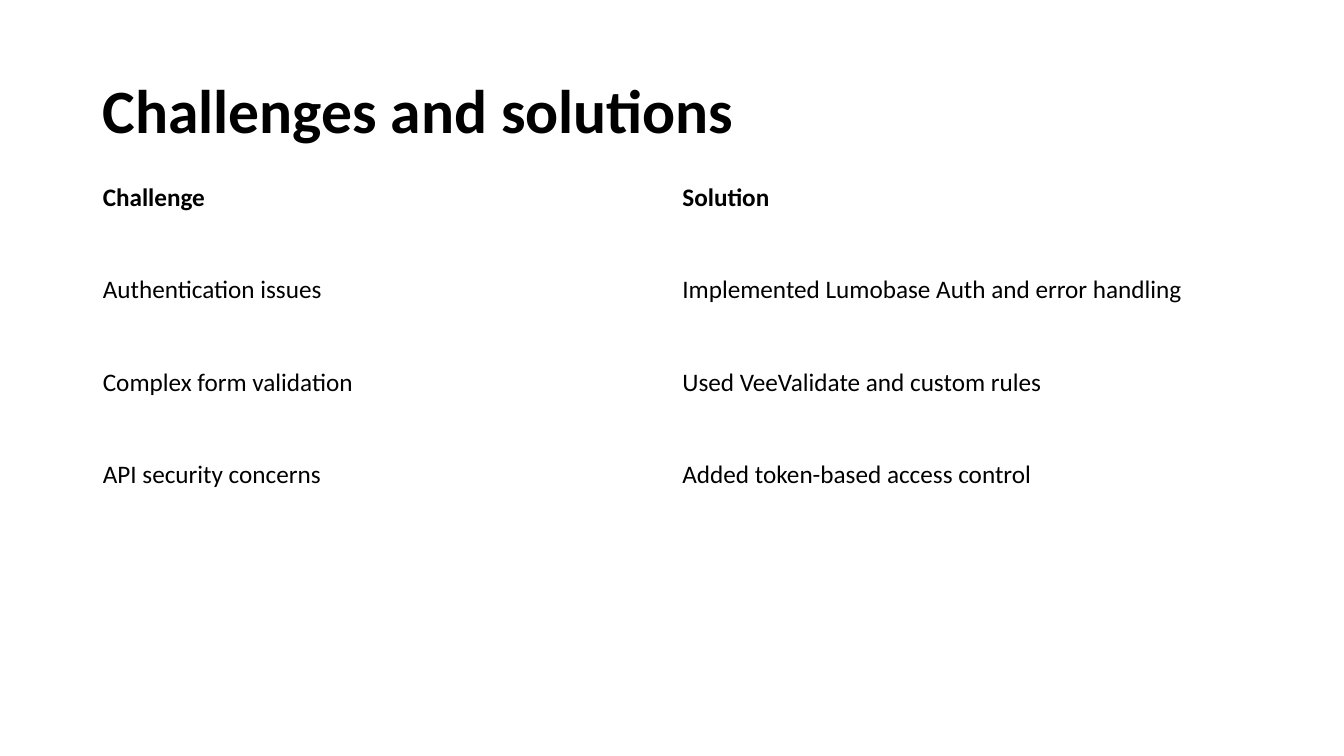
from pptx import Presentation
from pptx.dml.color import RGBColor
from pptx.enum.text import MSO_ANCHOR as Anchor
from pptx.util import Inches, Pt

BLACK = "000000"
LEFT, WIDTH = 6.9, 86.25  # percent of the slide's width

ROWS = [
    ("Challenge", "Solution"),
    ("Authentication issues", "Implemented Lumobase Auth and error handling"),
    ("Complex form validation", "Used VeeValidate and custom rules"),
    ("API security concerns", "Added token-based access control"),
]


def color(hex_code):
    return RGBColor.from_string(hex_code)


def write(frame, text, size=18, bold=False, spacing=1.0, font="Calibri", ink=BLACK):
    paragraph = frame.paragraphs[0]
    paragraph.line_spacing = spacing
    run = paragraph.add_run()
    run.text = text
    run.font.name = font
    run.font.size = Pt(size)
    run.font.bold = bold
    run.font.color.rgb = color(ink)


class SlideBuilder:
    def __init__(self, presentation):
        self.width = presentation.slide_width
        self.height = presentation.slide_height
        self.slide = presentation.slides.add_slide(presentation.slide_layouts[6])

    def box(self, left, top, width, height):
        """Turn percentages of the slide's size into lengths."""
        return (
            round(self.width * left / 100),
            round(self.height * top / 100),
            round(self.width * width / 100),
            round(self.height * height / 100),
        )

    def title(self, text, *place):
        frame = self.slide.shapes.add_textbox(*self.box(*place)).text_frame
        frame.word_wrap = True
        frame.vertical_anchor = Anchor.MIDDLE
        write(frame, text, size=44, bold=True, spacing=0.9)

    def table(self, rows, *place):
        """Add a plain table with equal rows and columns and a bold first row."""
        shape = self.slide.shapes.add_table(len(rows), len(rows[0]), *self.box(*place))
        table = shape.table
        table.first_row = table.horz_banding = False
        for row_index, row in enumerate(rows):
            for column_index, text in enumerate(row):
                cell = table.cell(row_index, column_index)
                cell.fill.background()
                cell.vertical_anchor = Anchor.MIDDLE
                write(cell.text_frame, text, bold=row_index == 0)


def main():
    presentation = Presentation()
    presentation.slide_width = Inches(13.33)
    presentation.slide_height = Inches(7.5)
    builder = SlideBuilder(presentation)
    builder.title("Challenges and solutions", LEFT, 5.33, WIDTH, 19.33)
    builder.table(ROWS, LEFT, 20, WIDTH, 48.93)
    presentation.save("out.pptx")


if __name__ == "__main__":
    main()
